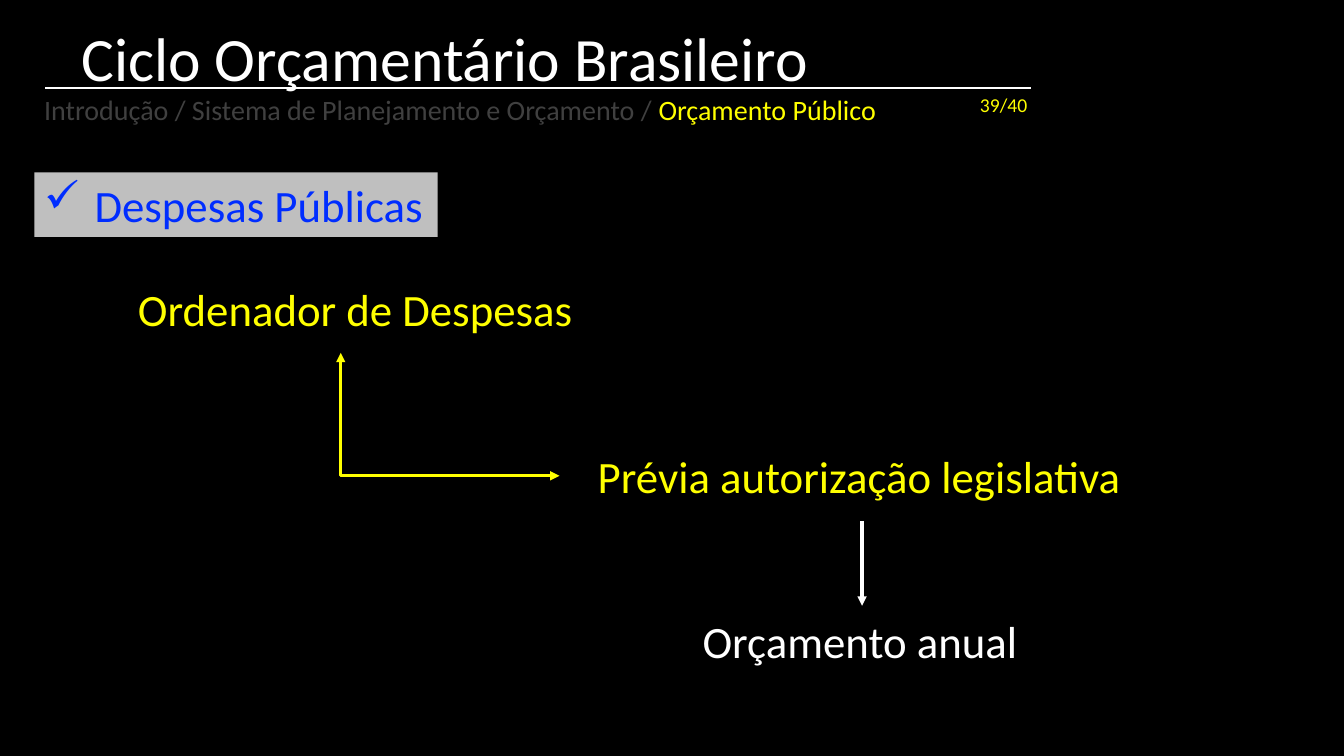
from lxml.etree import SubElement as Sub
from pptx import Presentation
from pptx.dml.color import RGBColor
from pptx.enum.shapes import MSO_CONNECTOR as Link, MSO_SHAPE as Kind
from pptx.enum.text import MSO_ANCHOR as Anchor, MSO_AUTO_SIZE as Fit
from pptx.oxml.ns import qn
from pptx.util import Inches, Pt

BLACK = RGBColor(0, 0, 0)
WHITE = RGBColor(255, 255, 255)
YELLOW = RGBColor(255, 255, 0)
DIM = RGBColor(0x40, 0x40, 0x40)
SILVER = RGBColor(0xBF, 0xBF, 0xBF)
BLUE = RGBColor(0, 0x2D, 0xFF)

# Content: box (left, top, width, height), size, runs of (text, colour)
TITLE = ((0.71, 0.14, 9.15, 0.84), 44, [("Ciclo Orçamentário Brasileiro", WHITE)])
TOPIC = ((0.34, 1.71, 4, 0.64), 32, [("Despesas Públicas", BLUE)])
LABELS = [
    ((1.27, 2.75, 4.55, 0.64), 32, [("Ordenador de Despesas", YELLOW)]),
    ((5.83, 4.4, 5.45, 0.64), 32, [("Prévia autorização legislativa", YELLOW)]),
    ((6.87, 6.04, 3.36, 0.64), 32, [("Orçamento anual", WHITE)]),
    ((9.62, 0.87, 0.68, 0.34), 14, [("39/40", YELLOW)]),
    ((0.34, 0.87, 8.53, 0.44), 20, [
        ("Introdução / Sistema de Planejamento e Orçamento / ", DIM),
        ("Orçamento Público", YELLOW)]),
]
RULE = (0.45, 0.87, 10.23, 0.87)
DOWN = (8.55, 5.17, 8.55, 6.01)
BEND = (3.38, 3.5, 5.55, 4.72)

deck = Presentation()
deck.slide_width, deck.slide_height = Inches(13.33), Inches(7.5)
slide = deck.slides.add_slide(deck.slide_layouts[6])
slide.background.fill.solid()
slide.background.fill.fore_color.rgb = BLACK
shapes = slide.shapes


def write(shape, size, runs, wrap=False, mark=None):
    frame = shape.text_frame
    frame.word_wrap = wrap
    frame.auto_size = Fit.SHAPE_TO_FIT_TEXT
    frame.vertical_anchor = Anchor.MIDDLE if wrap else Anchor.TOP
    para = frame.paragraphs[0]
    props = para._p.get_or_add_pPr()
    props.set("algn", "l")
    if mark:
        props.set("marL", str(Inches(0.5)))
        props.set("indent", str(-Inches(0.5)))
        Sub(props, qn("a:buChar"), char=mark)
    para.font.name, para.font.size = "Calibri", Pt(size)
    for text, color in runs:
        run = para.add_run()
        run.text = text
        run.font.color.rgb = color


def label(box, size, runs, wrap=False):
    write(shapes.add_textbox(*map(Inches, box)), size, runs, wrap)


def link(kind, ends, color, width, *tips):
    line = shapes.add_connector(kind, *map(Inches, ends))
    line.line.color.rgb, line.line.width = color, Pt(width)
    form = line._element.spPr
    for tip in tips:
        Sub(form.find(qn("a:ln")), qn(tip), type="triangle")
    Sub(form, qn("a:effectLst"))
    return line


# Title and rule
label(*TITLE, wrap=True)
link(Link.STRAIGHT, RULE, WHITE, 1.5)

# Topic box
box, size, runs = TOPIC
topic = shapes.add_shape(Kind.RECTANGLE, *map(Inches, box))
topic.shadow.inherit = False
topic.fill.solid()
topic.fill.fore_color.rgb = SILVER
topic.line.fill.background()
write(topic, size, runs, mark="✓")

# Labels
for item in LABELS:
    label(*item)

# One-corner elbow: a mirrored frame turned 270 degrees about its centre
x1, y1, x2, y2 = BEND
mid_x, mid_y = (x1 + x2) / 2, (y1 + y2) / 2
half_w, half_h = (y2 - y1) / 2, (x2 - x1) / 2
frame = (mid_x + half_w, mid_y - half_h, mid_x - half_w, mid_y + half_h)
elbow = link(Link.ELBOW, frame, YELLOW, 2.25, "a:headEnd", "a:tailEnd")
form = elbow._element.spPr
form.find(qn("a:xfrm")).set("rot", str(270 * 60000))
form.find(qn("a:prstGeom")).set("prst", "bentConnector2")

# Arrow to the yearly budget
link(Link.STRAIGHT, DOWN, WHITE, 2.25, "a:tailEnd")

deck.save("out.pptx")
